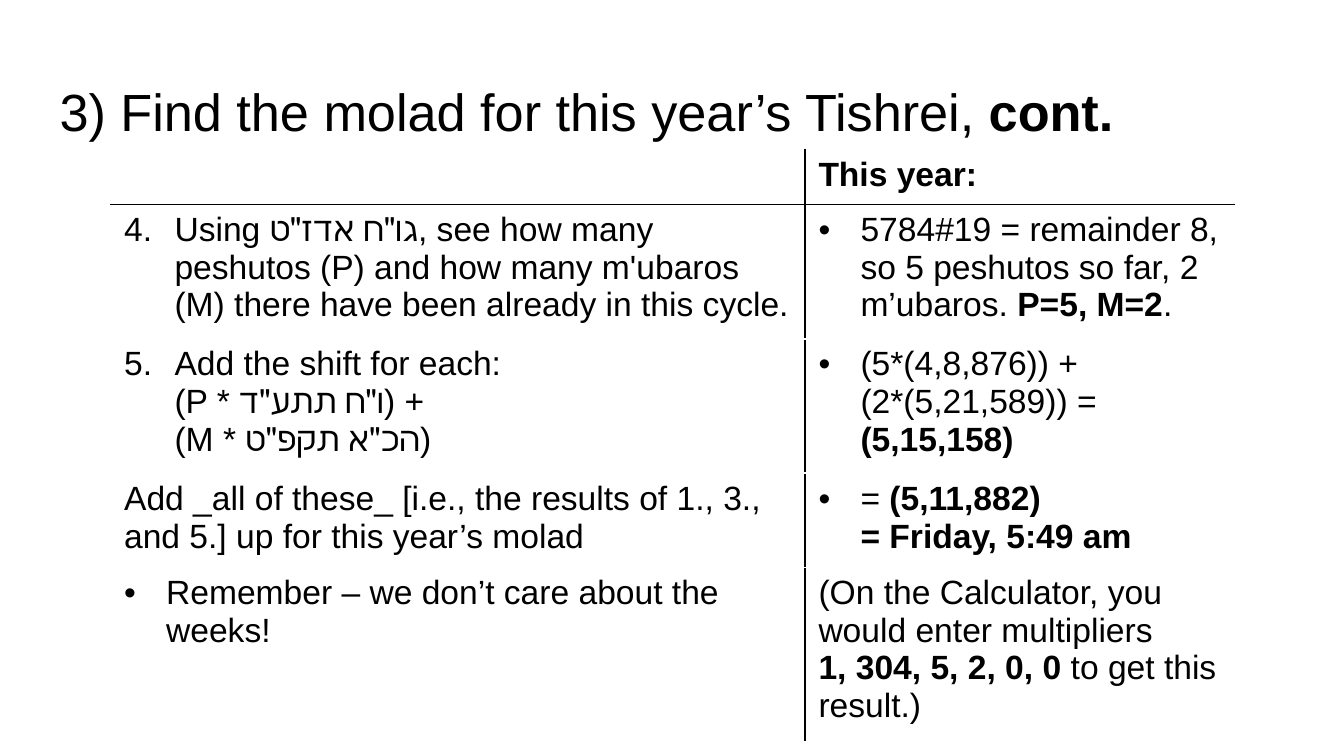
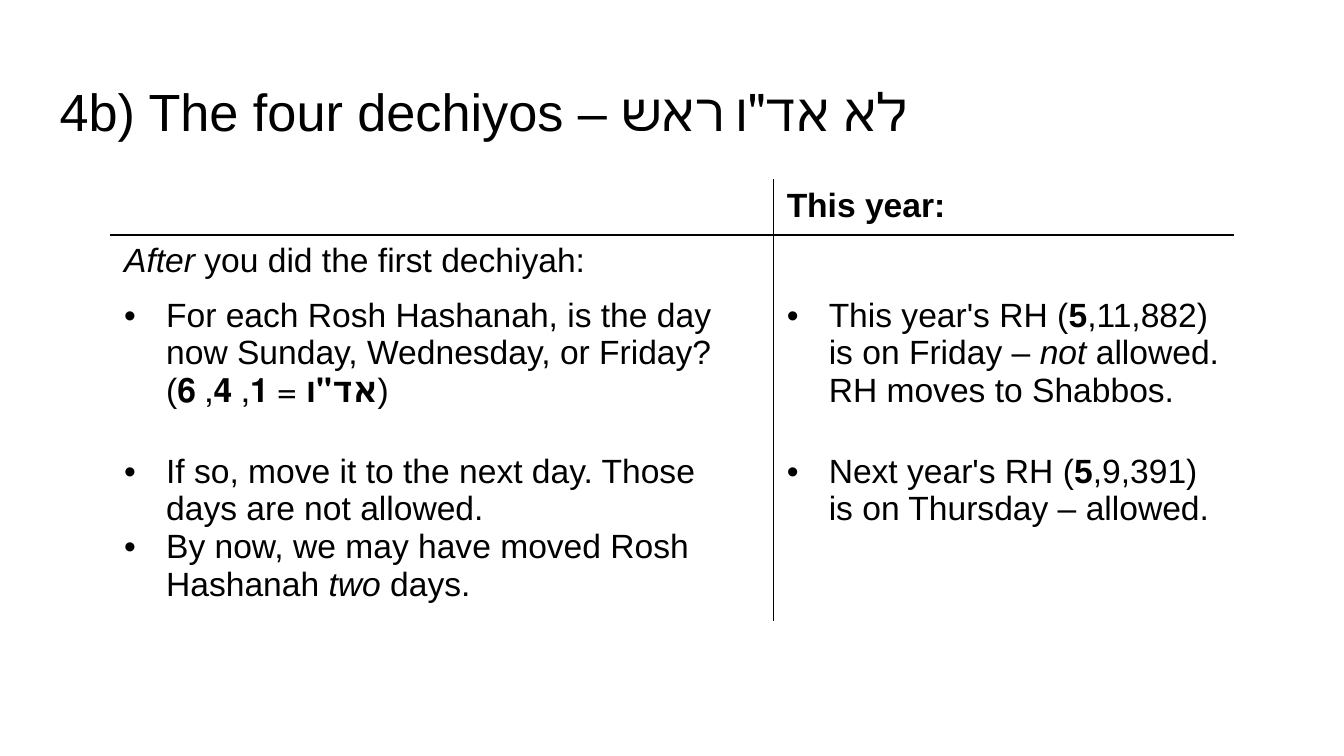
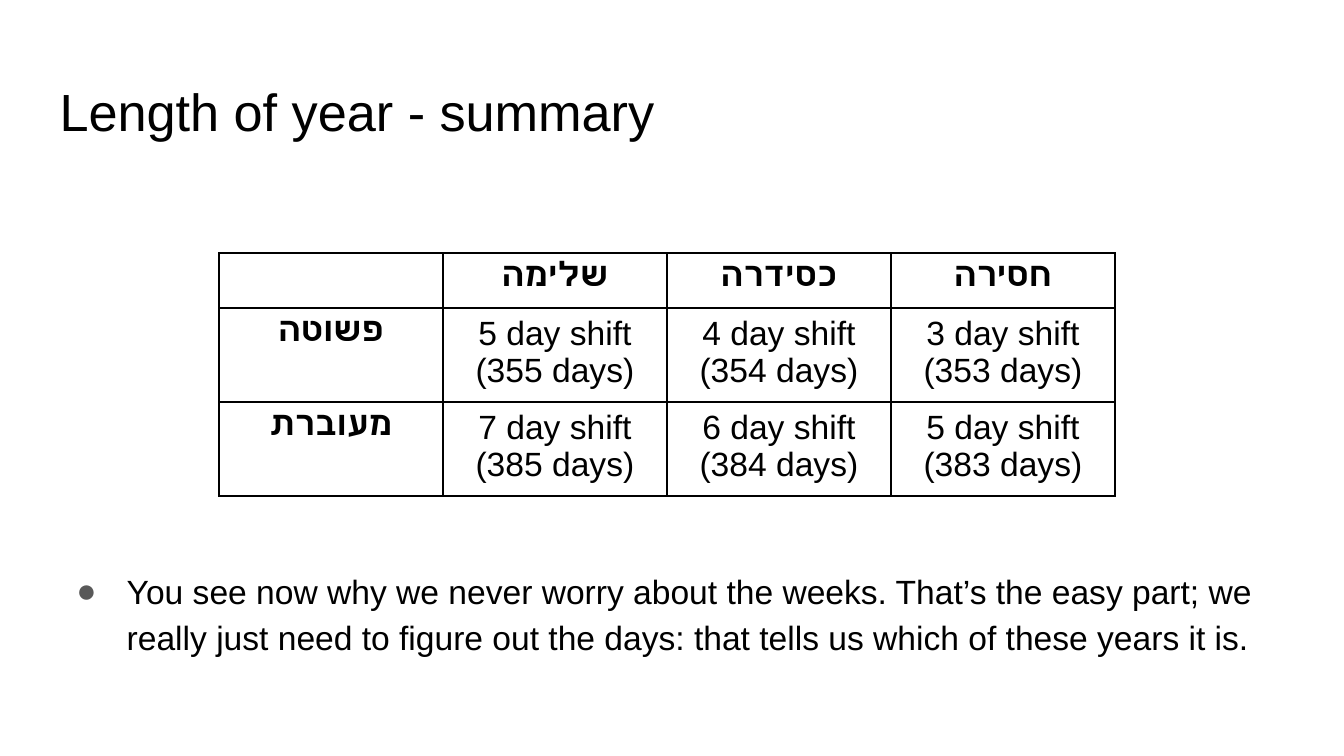
from pptx import Presentation
from pptx.dml.color import RGBColor
from pptx.enum.text import MSO_ANCHOR, PP_ALIGN
from pptx.oxml.ns import qn
from pptx.util import Pt
from lxml import etree

CENTER = PP_ALIGN.CENTER
TOP = MSO_ANCHOR.TOP
FONT = "Arial"
BLACK = "000000"
WHITE = "FFFFFF"
GREY = "595959"
ROW = 29.5
SIDES = {"l": "a:lnL", "r": "a:lnR", "t": "a:lnT", "b": "a:lnB"}

HEAD = "|This year:|"
MOLAD = [
    ["", HEAD],
    ["4. Using גו\"ח אדז\"ט, see how many peshutos (P) and how many m'ubaros "
     "(M) there have been already in this cycle.",
     "• 5784#19 = remainder 8, so 5 peshutos so far, 2 m’ubaros. |P=5, M=2|."],
    ["5. Add the shift for each:\n(P * ו\"ח תתע\"ד) +\n(M * הכ\"א תקפ\"ט)",
     "• (5*(4,8,876)) + (2*(5,21,589)) = |(5,15,158)|"],
    ["Add _all of these_ [i.e., the results of 1., 3., and 5.] up for this "
     "year’s molad",
     "• = |(5,11,882)\n= Friday, 5:49 am|"],
    ["• Remember – we don’t care about the weeks!",
     ["(On the Calculator, you would enter multipliers",
      "|1, 304, 5, 2, 0, 0 |to get this result.)"]],
]
DELAYS = [
    ["", HEAD],
    ["~After~ you did the first dechiyah:", ""],
    ["• For each Rosh Hashanah, is the day now Sunday, Wednesday, or Friday? "
     "(|אד\"ו |= |1|, |4|, |6|)",
     "• This year's RH (|5|,11,882) is on Friday – ~not~ allowed. "
     "RH moves to Shabbos."],
    [["• If so, move it to the next day. Those days are not allowed.",
      "• By now, we may have moved Rosh Hashanah ~two~ days."],
     "• Next year's RH (|5|,9,391) is on Thursday – allowed."],
]
LENGTHS = [
    ["", "|שלימה|", "|כסידרה|", "|חסירה|"],
    ["|פשוטה|"] + [f"{n} day shift ({n + 350} days)" for n in (5, 4, 3)],
    ["|מעוברת|"] + [f"{n} day shift ({n + 378} days)" for n in (7, 6, 5)],
]


def color(code):
    return RGBColor.from_string(code)


def add_bullet(para, mark, tint=BLACK):
    props = para._p.get_or_add_pPr()
    dent = 22.5 if mark == "•" else 27
    left = 36 if mark == "●" else dent
    props.set("marL", str(Pt(left)))
    props.set("indent", str(-Pt(dent)))
    shade = etree.SubElement(props, qn("a:buClr"))
    etree.SubElement(shade, qn("a:srgbClr"), val=tint)
    etree.SubElement(props, qn("a:buFont"), typeface=FONT)
    if mark in "•●":
        etree.SubElement(props, qn("a:buChar"), char=mark)
    else:
        etree.SubElement(props, qn("a:buAutoNum"), type="arabicPeriod",
                         startAt=mark[0])


def add_runs(para, text, size):
    for b, part in enumerate(text.split("|")):
        for i, piece in enumerate(part.split("~")):
            for n, line in enumerate(piece.split("\n")):
                if n:
                    para.add_line_break()
                if line:
                    run = para.add_run()
                    run.text = line
                    font = run.font
                    font.name, font.size = FONT, Pt(size)
                    font.bold, font.italic = b % 2 == 1, i % 2 == 1
                    font.color.rgb = color(BLACK)


def fill_text(frame, paras, size=18, align=None, tint=BLACK):
    if isinstance(paras, str):
        paras = [paras]
    for n, text in enumerate(paras):
        para = frame.add_paragraph() if n else frame.paragraphs[0]
        mark, _, rest = text.partition(" ")
        if mark in ("•", "●", "4.", "5."):
            add_bullet(para, mark, tint)
            text = rest
        if align is not None:
            para.alignment = align
        add_runs(para, text, size)


def add_box(slide, box, text, size, tint=BLACK):
    shape = slide.shapes.add_textbox(*map(Pt, box))
    frame = shape.text_frame
    frame.word_wrap = True
    frame.vertical_anchor = TOP
    frame.margin_left = frame.margin_right = Pt(7.2)
    frame.margin_top = frame.margin_bottom = Pt(7.2)
    fill_text(frame, text, size, tint=tint)
    return frame


def add_page(deck, title):
    slide = deck.slides.add_slide(deck.slide_layouts[6])
    add_box(slide, (24.8, 35.3, 671, 45.4), title, 28)
    return slide


def set_edges(cell, edges):
    props = cell._tc.get_or_add_tcPr()
    for n, (side, tag) in enumerate(SIDES.items()):
        line = etree.Element(qn(tag), w=str(Pt(1)))
        if edges[side]:
            solid = etree.SubElement(line, qn("a:solidFill"))
            etree.SubElement(solid, qn("a:srgbClr"), val=edges[side])
        else:
            etree.SubElement(line, qn("a:noFill"))
        props.insert(n, line)


def split_edges(row, col, inner):
    return {
        "l": BLACK if col else WHITE,
        "r": WHITE if col else BLACK,
        "t": (WHITE, BLACK)[row] if row < 2 else inner,
        "b": inner if row else BLACK,
    }


def grid_edges(row, col):
    return dict.fromkeys(SIDES, BLACK)


def add_grid(slide, spot, cols, rows, data, edges, align=None):
    size = sum(cols), sum(rows)
    shape = slide.shapes.add_table(len(rows), len(cols), *map(Pt, spot + size))
    table = shape.table
    table.first_row = table.horz_banding = False
    for col, width in zip(table.columns, cols):
        col.width = Pt(width)
    for r, (line, height) in enumerate(zip(data, rows)):
        table.rows[r].height = Pt(height)
        for c, text in enumerate(line):
            cell = table.cell(r, c)
            cell.fill.solid()
            cell.fill.fore_color.rgb = color(WHITE)
            fill_text(cell.text_frame, text, align=align)
            set_edges(cell, edges(r, c))


def main():
    deck = Presentation()
    deck.slide_width, deck.slide_height = Pt(720), Pt(405)

    slide = add_page(deck, "3) Find the molad for this year’s Tishrei, |cont.|")
    add_grid(slide, (59.3, 80), (372, 230), (ROW, ROW, ROW, 50, ROW), MOLAD,
             lambda r, c: split_edges(r, c, WHITE))

    slide = add_page(deck, "4b) The four dechiyos – לא אד\"ו ראש")
    add_grid(slide, (59.3, 96.5), (355, 246.5), (ROW, ROW, 83.5, ROW), DELAYS,
             lambda r, c: split_edges(r, c, None))

    slide = add_page(deck, "Length of year - summary")
    note = add_box(slide, (24.8, 295.3, 666, 81),
                   "● You see now why we never worry about the weeks. That’s "
                   "the easy part; we really just need to figure out the days: "
                   "that tells us which of these years it is.", 18, GREY)
    note.paragraphs[0].line_spacing = 1.15
    add_grid(slide, (117.3, 135.5), (120,) * 4, (ROW,) * 3, LENGTHS,
             grid_edges, CENTER)
    deck.save("out.pptx")


if __name__ == "__main__":
    main()
